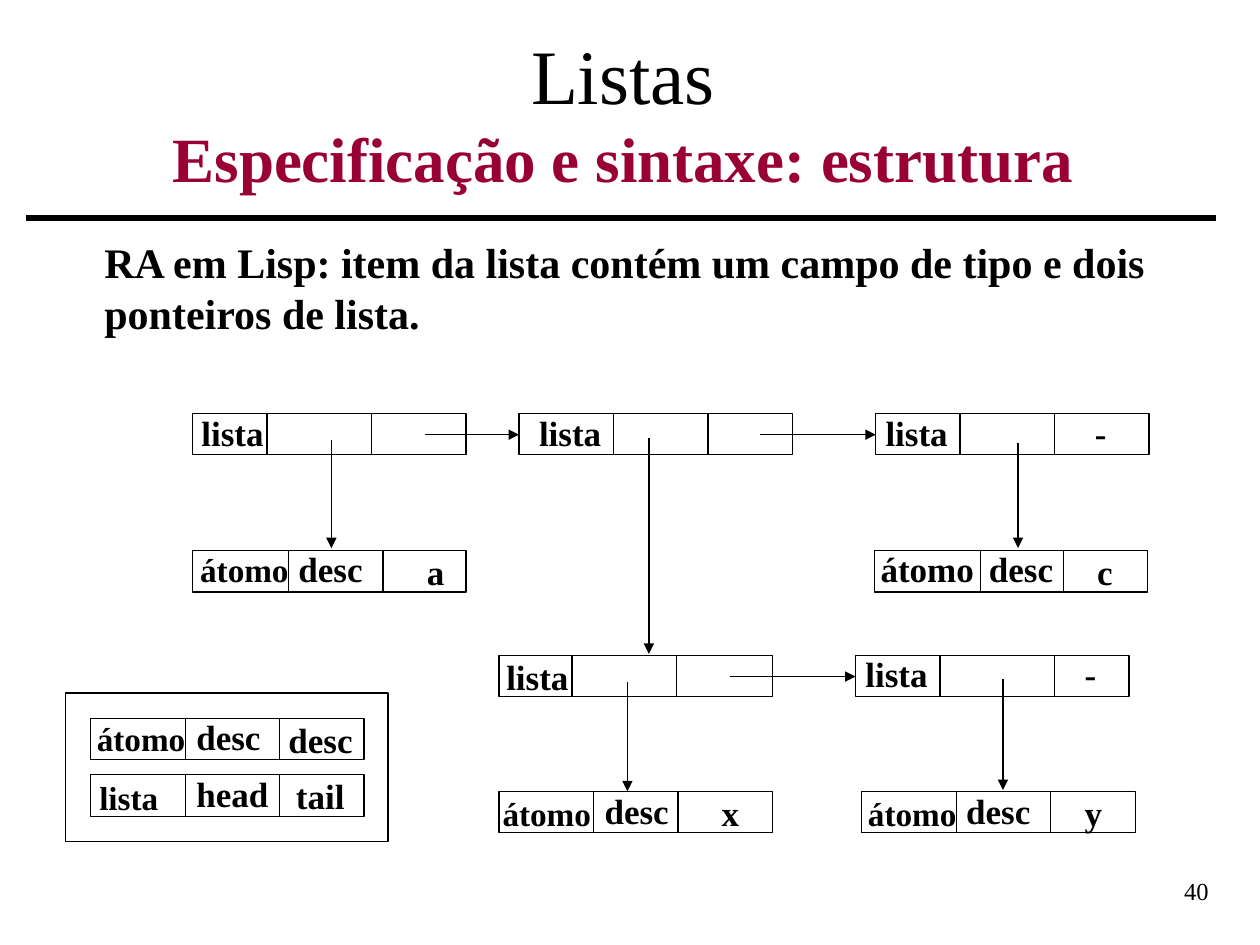
from typing import NamedTuple
from lxml.etree import SubElement
from pptx import Presentation
from pptx.dml.color import RGBColor as Rgb
from pptx.enum.shapes import MSO_CONNECTOR as Conn, MSO_SHAPE as Kind
from pptx.enum.text import MSO_ANCHOR as Anchor, MSO_AUTO_SIZE as Fit, PP_ALIGN as Align
from pptx.oxml.ns import qn
from pptx.util import Emu, Pt

PX = 9144
BLACK = Rgb(0x00, 0x00, 0x00)
WINE = Rgb(0x99, 0x00, 0x33)
FONT = "Times New Roman"
CELL_W, CELL_H = 217, 33
WIDE = {"lista": 70, "átomo": 94, "desc": 71, "head": 77, "tail": 59, "-": 29, "c": 32}


class Word(NamedTuple):
    text: str
    x: int
    y: int
    size: int = 20


class Cell(NamedTuple):
    x: int
    y: int
    cuts: tuple[int, int]
    words: tuple[Word, ...]


class Arrow(NamedTuple):
    x1: int
    y1: int
    x2: int
    y2: int


CELLS = [
    Cell(153, 328, (212, 295), (Word("lista", 150, 322),)),
    Cell(412, 328, (487, 562), (Word("lista", 418, 322),)),
    Cell(695, 328, (762, 837), (Word("lista", 693, 322), Word("-", 859, 322))),
    Cell(153, 437, (229, 304),
         (Word("átomo", 149, 431, 19), Word("desc", 227, 430), Word("a", 329, 432))),
    Cell(694, 437, (778, 844),
         (Word("átomo", 689, 430), Word("desc", 775, 430), Word("c", 861, 432))),
    Cell(396, 520, (454, 537), (Word("lista", 392, 515),)),
    Cell(679, 520, (746, 837), (Word("lista", 677, 513), Word("-", 851, 513))),
    Cell(396, 628, (471, 538),
         (Word("átomo", 389, 625, 19), Word("desc", 470, 622), Word("x", 563, 623))),
    Cell(684, 628, (759, 834),
         (Word("átomo", 679, 625, 19), Word("desc", 757, 622), Word("y", 851, 623))),
    Cell(72, 570, (147, 222),
         (Word("átomo", 67, 565, 19), Word("desc", 146, 563), Word("desc", 219, 565))),
    Cell(72, 615, (147, 222),
         (Word("lista", 69, 612, 19), Word("head", 146, 608), Word("tail", 225, 610))),
]

ARROWS = [
    Arrow(337, 345, 412, 345),
    Arrow(603, 345, 695, 345),
    Arrow(579, 537, 679, 537),
    Arrow(263, 349, 263, 435),
    Arrow(515, 348, 515, 519),
    Arrow(808, 352, 808, 435),
    Arrow(498, 541, 498, 628),
    Arrow(796, 539, 796, 627),
]

deck = Presentation()
deck.slide_width, deck.slide_height = Emu(1000 * PX), Emu(750 * PX)
slide = deck.slides.add_slide(deck.slide_layouts[6])
shapes = slide.shapes


def write(text: str, x: int, y: int, w: int, h: int, size: int,
          bold: bool = True, wrap: bool = True, align: Align = Align.LEFT):
    frame = shapes.add_textbox(*(Emu(n * PX) for n in (x, y, w, h))).text_frame
    frame.word_wrap = wrap
    if not wrap:
        frame.auto_size = Fit.SHAPE_TO_FIT_TEXT
    para = frame.paragraphs[0]
    para.text = text
    para.alignment = align
    for run in para.runs:
        run.font.name = FONT
        run.font.size = Pt(size)
        run.font.bold = bold
        run.font.color.rgb = BLACK
    return frame


def rule(x1: int, y1: int, x2: int, y2: int, width: float = 0.75, head: bool = False) -> None:
    line = shapes.add_connector(Conn.STRAIGHT, *(Emu(n * PX) for n in (x1, y1, x2, y2)))
    line.line.color.rgb = BLACK
    line.line.width = Pt(width)
    if head:
        SubElement(line.line._get_or_add_ln(), qn("a:tailEnd"), type="triangle")
    SubElement(line._element.spPr, qn("a:effectLst"))


def frame_box(x: int, y: int, w: int, h: int) -> None:
    box = shapes.add_shape(Kind.RECTANGLE, *(Emu(n * PX) for n in (x, y, w, h)))
    box.shadow.inherit = False
    box.fill.background()
    box.line.color.rgb = BLACK
    box.line.width = Pt(0.75)


def draw_cell(cell: Cell) -> None:
    frame_box(cell.x, cell.y, CELL_W, CELL_H)
    for cut in cell.cuts:
        rule(cut, cell.y, cut, cell.y + CELL_H)
    for word in cell.words:
        wide = WIDE.get(word.text, 34) - (20 - word.size) * 3
        write(word.text, word.x, word.y, wide, 44, word.size, wrap=False)


rule(21, 173, 965, 173, 3)
write("40", 910, 690, 59, 47, 14, bold=False, align=Align.RIGHT)

title = write("Listas\vEspecificação e sintaxe: estrutura", 22, 10, 945, 157, 44,
              bold=False, align=Align.CENTER)
title.vertical_anchor = Anchor.MIDDLE
sub = title.paragraphs[0].runs[1].font
sub.size, sub.bold, sub.color.rgb = Pt(36), True, WINE

write("RA em Lisp: item da lista contém um campo de tipo e dois ponteiros de lista.",
      73, 183, 875, 90, 24)

for cell in CELLS:
    draw_cell(cell)
for arrow in ARROWS:
    rule(*arrow, head=True)
frame_box(52, 550, 256, 118)

deck.save("out.pptx")
